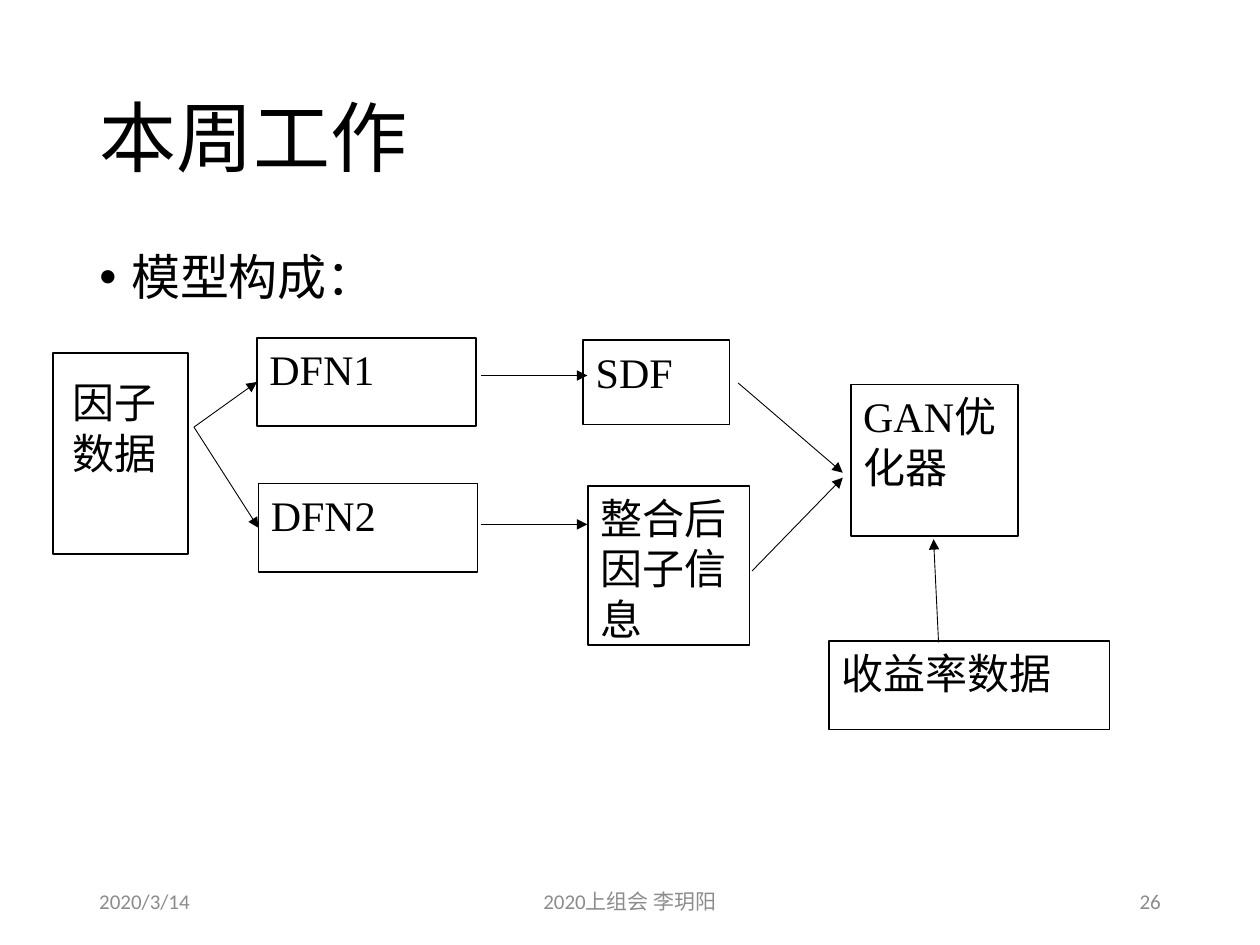
from dataclasses import dataclass
from typing import Optional, Tuple

from lxml import etree
from pptx import Presentation
from pptx import util as u
from pptx.dml.color import RGBColor
from pptx.enum import shapes, text
from pptx.oxml import ns


@dataclass(frozen=True)
class Theme:
    ink: RGBColor = RGBColor(0, 0, 0)
    muted: RGBColor = RGBColor(0x8C, 0x8C, 0x8C)
    cjk: str = "Noto Sans CJK SC"
    serif: str = "Times New Roman"
    sans: str = "Calibri"
    title: int = 44
    body: int = 28
    label: int = 24
    footer: int = 12


@dataclass(frozen=True)
class Node:
    caption: str
    left: float
    top: float
    width: float
    height: float
    caption_height: float = 1.27
    shift: Tuple[float, float] = (0, 0)


@dataclass(frozen=True)
class Arrow:
    start: Tuple[float, float]
    end: Tuple[float, float]
    target: Optional[str] = None


@dataclass(frozen=True)
class Footer:
    caption: str
    left: float
    width: float
    align: text.PP_ALIGN


THEME = Theme()
LEFT_SIDE = 1

NODES = [
    Node("DFN1", 5.18, 6.81, 4.42, 1.78),
    Node("因子数据", 1.07, 7.11, 2.72, 4.06, 2.31, (0.15, 0.36)),
    Node("GAN优化器", 17.15, 7.75, 3.38, 3.05, 2.31),
    Node("DFN2", 5.21, 9.75, 4.42, 1.78),
    Node("SDF", 11.76, 6.86, 2.95, 1.7),
    Node("整合后因子信息", 11.86, 9.8, 3.25, 3.2, 4.34),
    Node("收益率数据", 16.71, 12.93, 5.66, 1.78, 2.31),
]

ARROWS = [
    Arrow((3.91, 8.61), (5.18, 7.7), "DFN1"),
    Arrow((3.91, 8.61), (5.21, 10.64), "DFN2"),
    Arrow((9.7, 7.57), (11.84, 7.57)),
    Arrow((9.7, 10.57), (11.84, 10.57)),
    Arrow((14.88, 7.72), (16.99, 9.53)),
    Arrow((15.16, 11.51), (16.99, 9.63)),
    Arrow((18.92, 12.95), (18.82, 10.87)),
]

FOOTERS = [
    Footer("2020/3/14", 1.75, 5.72, text.PP_ALIGN.LEFT),
    Footer("2020上组会 李玥阳", 8.41, 8.58, text.PP_ALIGN.CENTER),
    Footer("26", 17.93, 5.72, text.PP_ALIGN.RIGHT),
]


def add_span(para, caption: str, font: str, size: int, color: RGBColor) -> None:
    span = para.add_run()
    span.text = caption
    span.font.name = font
    span.font.size = u.Pt(size)
    span.font.color.rgb = color
    east_asian = etree.SubElement(span.font._element, ns.qn("a:ea"))
    east_asian.set("typeface", THEME.cjk)


def place(box, left: float, top: float, width: float, height: float) -> None:
    box.left, box.top = u.Cm(left), u.Cm(top)
    box.width, box.height = u.Cm(width), u.Cm(height)


def fill_title(box) -> None:
    place(box, 1.75, 1.02, 21.89, 3.68)
    box.text_frame.vertical_anchor = text.MSO_ANCHOR.MIDDLE
    para = box.text_frame.paragraphs[0]
    para.alignment = text.PP_ALIGN.LEFT
    para.line_spacing = 0.9
    add_span(para, "本周工作", THEME.cjk, THEME.title, THEME.ink)


def fill_body(box) -> None:
    place(box, 1.75, 4.98, 22.73, 12.01)
    para = box.text_frame.paragraphs[0]
    para.line_spacing = 0.9
    para.space_before = u.Pt(0)
    properties = para._p.get_or_add_pPr()
    properties.set("marL", str(u.Cm(0.64)))
    properties.set("indent", str(u.Cm(-0.64)))
    etree.SubElement(properties, ns.qn("a:buFont")).set("typeface", "Arial")
    etree.SubElement(properties, ns.qn("a:buChar")).set("char", "•")
    add_span(para, "模型构成：", THEME.serif, THEME.body, THEME.ink)


def add_node(page, node: Node):
    group = page.shapes.add_group_shape()
    frame = group.shapes.add_shape(
        shapes.MSO_SHAPE.RECTANGLE,
        u.Cm(node.left), u.Cm(node.top), u.Cm(node.width), u.Cm(node.height),
    )
    frame.shadow.inherit = False
    frame.fill.background()
    frame.line.color.rgb = THEME.ink
    frame.line.width = u.Pt(1)
    box = group.shapes.add_textbox(
        u.Cm(node.left + node.shift[0]), u.Cm(node.top + node.shift[1]),
        u.Cm(node.width), u.Cm(node.caption_height),
    )
    box.text_frame.word_wrap = True
    box.text_frame.auto_size = text.MSO_AUTO_SIZE.SHAPE_TO_FIT_TEXT
    add_span(box.text_frame.paragraphs[0], node.caption, THEME.serif, THEME.label, THEME.ink)
    return frame


def add_arrow(page, arrow: Arrow, frames: dict) -> None:
    line = page.shapes.add_connector(
        shapes.MSO_CONNECTOR.STRAIGHT, *(u.Cm(value) for value in arrow.start + arrow.end)
    )
    if arrow.target:
        line.end_connect(frames[arrow.target], LEFT_SIDE)
    line.line.color.rgb = THEME.ink
    line.line.width = u.Pt(0.5)
    outline = line.line._get_or_add_ln()
    etree.SubElement(outline, ns.qn("a:tailEnd")).set("type", "triangle")
    etree.SubElement(line._element.spPr, ns.qn("a:effectLst"))


def add_footer(page, footer: Footer) -> None:
    box = page.shapes.add_textbox(u.Cm(footer.left), u.Cm(17.65), u.Cm(footer.width), u.Cm(1.02))
    box.text_frame.word_wrap = True
    box.text_frame.vertical_anchor = text.MSO_ANCHOR.MIDDLE
    para = box.text_frame.paragraphs[0]
    para.alignment = footer.align
    add_span(para, footer.caption, THEME.sans, THEME.footer, THEME.muted)


def main() -> None:
    deck = Presentation()
    deck.slide_width, deck.slide_height = u.Cm(25.4), u.Cm(19.05)
    page = deck.slides.add_slide(deck.slide_layouts[1])
    fill_title(page.shapes.title)
    fill_body(page.placeholders[1])
    for footer in FOOTERS:
        add_footer(page, footer)
    frames = {node.caption: add_node(page, node) for node in NODES}
    for arrow in ARROWS:
        add_arrow(page, arrow, frames)
    deck.save("out.pptx")


if __name__ == "__main__":
    main()
